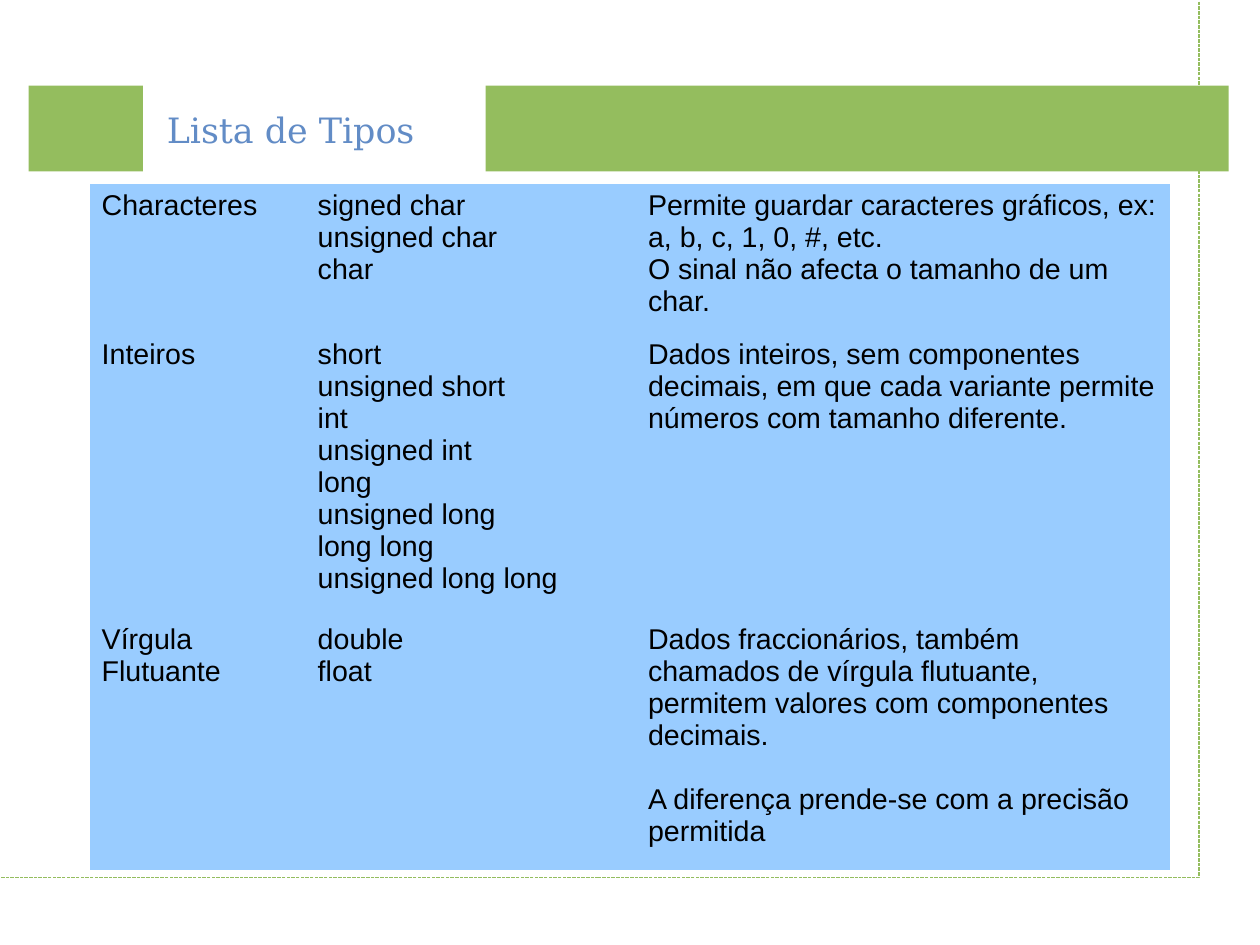
from pptx import Presentation
from pptx.dml.color import RGBColor
from pptx.enum.dml import MSO_LINE
from pptx.enum.shapes import MSO_SHAPE
from pptx.enum.text import MSO_ANCHOR, MSO_AUTO_SIZE, PP_ALIGN
from pptx.util import Cm, Inches, Pt

RECTANGLE = MSO_SHAPE.RECTANGLE
DASHED = MSO_LINE.SQUARE_DOT
TOP = MSO_ANCHOR.TOP
LEFT = PP_ALIGN.LEFT
NO_AUTOFIT = MSO_AUTO_SIZE.NONE
PLAIN_TABLE_STYLE = "{2D5ABB26-0587-4C30-8999-92F81FD0307C}"

COLORS = {
    "green": "94BD5E",
    "title": "628CC6",
    "cell": "99CCFF",
    "text": "000000",
}

COLUMN_WIDTHS = [1.89, 2.89, 4.67]
ROW_HEIGHTS = [1.3, 2.5, 2.2]
TYPE_ROWS = [
    (
        ["Characteres"],
        ["signed char", "unsigned char", "char"],
        [
            "Permite guardar caracteres gráficos, ex: a, b, c, 1, 0, #, etc.",
            "O sinal não afecta o tamanho de um char.",
        ],
    ),
    (
        ["Inteiros"],
        [
            "short", "unsigned short", "int", "unsigned int",
            "long", "unsigned long", "long long", "unsigned long long",
        ],
        [
            "Dados inteiros, sem componentes decimais, em que cada variante "
            "permite números com tamanho diferente.",
        ],
    ),
    (
        ["Vírgula Flutuante"],
        ["double", "float"],
        [
            "Dados fraccionários, também chamados de vírgula flutuante, "
            "permitem valores com componentes decimais.",
            "A diferença prende-se com a precisão permitida",
        ],
    ),
]


def color(name):
    return RGBColor.from_string(COLORS[name])


def add_rectangle(page, left, top, width, height):
    box = page.shapes.add_shape(
        RECTANGLE, Inches(left), Inches(top), Inches(width), Inches(height))
    box.shadow.inherit = False
    return box


def add_band(page, left, width):
    band = add_rectangle(page, left, 0.75, width, 0.75)
    band.fill.solid()
    band.fill.fore_color.rgb = color("green")
    band.line.fill.background()


def add_frame(page):
    frame = add_rectangle(page, -0.01, -0.07, 10.5, 7.75)
    frame.fill.background()
    frame.line.color.rgb = color("green")
    frame.line.width = Pt(0)
    frame.line.dash_style = DASHED


def add_span(para, text, font, size, color_name):
    span = para.add_run()
    span.text = text
    span.font.name = font
    span.font.size = Pt(size)
    span.font.color.rgb = color(color_name)


def set_title(page, text):
    title = page.shapes.title
    title.left, title.top = Inches(1.36), Inches(0.9)
    title.width, title.height = Inches(2.37), Inches(0.45)
    box = title.text_frame
    box.auto_size = NO_AUTOFIT
    box.word_wrap = False
    box.vertical_anchor = TOP
    para = box.paragraphs[0]
    para.alignment = LEFT
    add_span(para, text, "DejaVu Serif", 22, "title")


def fill_cell(cell, lines, gap):
    cell.fill.solid()
    cell.fill.fore_color.rgb = color("cell")
    box = cell.text_frame
    for index, line in enumerate(lines):
        para = box.add_paragraph() if index else box.paragraphs[0]
        if index and gap:
            para.space_before = Pt(gap)
        add_span(para, line, "Arial", 18, "text")


def add_type_table(page):
    holder = page.shapes.add_table(
        len(ROW_HEIGHTS), len(COLUMN_WIDTHS), Inches(0.79), Inches(1.61),
        Inches(sum(COLUMN_WIDTHS)), Inches(sum(ROW_HEIGHTS)))
    table = holder.table
    table.first_row = False
    table.horz_banding = False
    holder.element.xpath(".//a:tableStyleId")[0].text = PLAIN_TABLE_STYLE
    for column, width in zip(table.columns, COLUMN_WIDTHS):
        column.width = Inches(width)
    for row, height, contents in zip(table.rows, ROW_HEIGHTS, TYPE_ROWS):
        row.height = Inches(height)
        for cell, lines in zip(row.cells, contents):
            is_float_note = lines is TYPE_ROWS[-1][-1]
            fill_cell(cell, lines, 20 if is_float_note else 0)


def main():
    deck = Presentation()
    deck.slide_width = Cm(28)
    deck.slide_height = Cm(21)
    page = deck.slides.add_slide(deck.slide_layouts[5])
    add_band(page, 4.25, 6.5)
    add_frame(page)
    set_title(page, "Lista de Tipos")
    add_band(page, 0.25, 1)
    add_type_table(page)
    deck.save("out.pptx")


if __name__ == "__main__":
    main()
